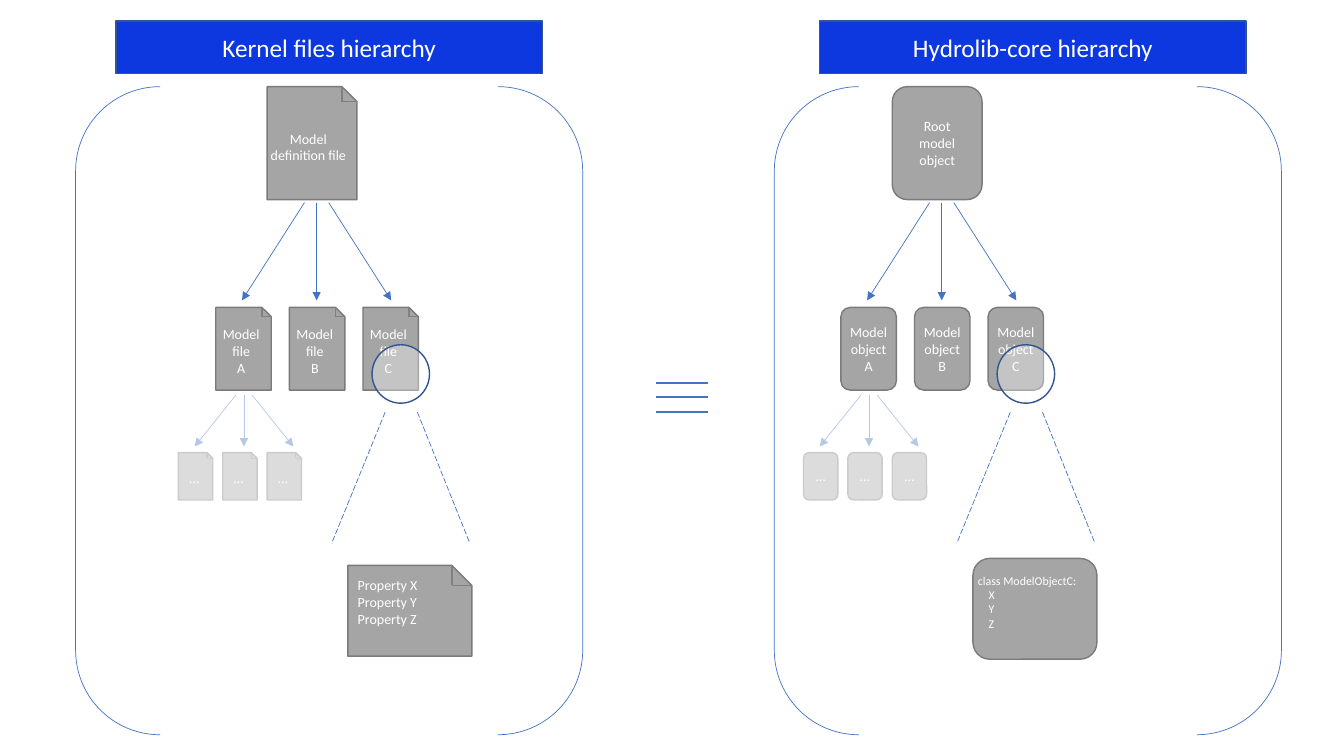
"""Build a slide that sets a kernel file tree beside its object tree."""
from lxml.etree import SubElement
from pptx import Presentation
from pptx.dml.color import RGBColor
from pptx.enum.dml import MSO_LINE
from pptx.enum.shapes import MSO_CONNECTOR, MSO_SHAPE
from pptx.enum.text import MSO_ANCHOR, MSO_AUTO_SIZE, PP_ALIGN
from pptx.oxml.ns import qn
from pptx.util import Inches, Pt

SIDES = [
    dict(
        title="Kernel files hierarchy", slot=1, head=1.15, frame=0.75, mid=3.14,
        form=MSO_SHAPE.SNIP_1_RECTANGLE, root=["Model definition file"], pad=0.01,
        kids=[["Model", "file", "A"], ["Model", "file", "B"], ["Model", "file", "C"]],
        detail=["Property X", "Property Y", "Property Z"],
        top=5.61, high=0.9, size=10, inset=(0.1, 0.01, 0.01, 0.01),
    ),
    dict(
        title="Hydrolib-core hierarchy", slot=3, head=8.13, frame=7.68, mid=9.34,
        form=MSO_SHAPE.ROUNDED_RECTANGLE, root=["Root model object"], pad=0.1,
        kids=[["Model", "object", "A"], ["Model", "object", "B"], ["Model object", "C"]],
        detail=["class ModelObjectC:", "    X", "    Y", "    Z"],
        top=5.54, high=1, size=8.5, inset=(0, 0.1, 0, 0),
    ),
]
WHITE = RGBColor(0xFF, 0xFF, 0xFF)
BLUE = RGBColor(0x0D, 0x38, 0xE0)
NAVY = RGBColor(0x32, 0x54, 0x91)
LINK = RGBColor(0x44, 0x72, 0xC4)
GREY = RGBColor(0xA5, 0xA5, 0xA5)
EDGE = RGBColor(0x7A, 0x7A, 0x7A)
FOLD = RGBColor(0x80, 0x80, 0x80)
SNIP = 0.167
WIDE_SNIP = 0.22

deck = Presentation()
deck.slide_width, deck.slide_height = Inches(13.33), Inches(7.5)
slide = deck.slides.add_slide(deck.slide_layouts.get_by_name("Comparison"))


def line(x1, y1, x2, y2, color=LINK, width=0.5, dash=None, arrow=False):
    """Draw a straight line, with an arrowhead if asked."""
    link = slide.shapes.add_connector(
        MSO_CONNECTOR.STRAIGHT, Inches(x1), Inches(y1), Inches(x2), Inches(y2))
    link.line.color.rgb, link.line.width = color, Pt(width)
    if dash:
        link.line.dash_style = dash
    if arrow:
        SubElement(link.line._get_or_add_ln(), qn("a:tailEnd"), type="triangle")
    SubElement(link._element.spPr, qn("a:effectLst"))


def shape(form, box, fill=None, edge=None, width=1, alpha=None):
    """Draw a preset shape with its fill and outline."""
    item = slide.shapes.add_shape(form, *map(Inches, box))
    item.shadow.inherit = False
    paint(item, fill, edge, width)
    if alpha:
        color = item.fill._xPr.find(qn("a:solidFill"))[0]
        SubElement(color, qn("a:alpha"), val=str(alpha * 1000))
    return item


def paint(item, fill, edge, width=1):
    """Set a fill and an outline, or clear them."""
    if fill is None:
        item.fill.background()
    else:
        item.fill.solid()
        item.fill.fore_color.rgb = fill
    if edge is None:
        item.line.fill.background()
    else:
        item.line.color.rgb, item.line.width = edge, Pt(width)


def write(item, rows, size=10, inset=(0.01,) * 4, align=PP_ALIGN.CENTER,
          anchor=MSO_ANCHOR.MIDDLE):
    """Fill a shape with one paragraph per row."""
    frame = item.text_frame
    frame.word_wrap, frame.auto_size = True, MSO_AUTO_SIZE.NONE
    frame.vertical_anchor = anchor
    (frame.margin_left, frame.margin_top,
     frame.margin_right, frame.margin_bottom) = map(Inches, inset)
    for i, row in enumerate(rows):
        para = frame.add_paragraph() if i else frame.paragraphs[0]
        para.alignment, para.space_before = align, Pt(0)
        run = para.add_run()
        run.text = row
        run.font.name, run.font.size, run.font.bold = "Calibri", Pt(size), False
        run.font.color.rgb = WHITE


def node(form, box, rows, snip=SNIP, **style):
    """Draw a tree node, with a folded corner on a file."""
    item = shape(form, box, GREY, EDGE)
    write(item, rows, **style)
    if form == MSO_SHAPE.SNIP_1_RECTANGLE:
        item.adjustments[0] = snip
        x, y, w, h = box
        fold = snip * min(w, h)
        line(x + w - fold, y, x + w - fold, y + fold, FOLD, 1)
        line(x + w, y + fold, x + w - fold, y + fold, FOLD, 1)


def fan(mid, top, base, near, far):
    """Draw three arrows that spread from a parent."""
    for i in (-1, 0, 1):
        line(mid + i * near, top, mid + i * far, base, arrow=True)


def tree(side):
    """Draw one half of the slide."""
    mid, form = side["mid"], side["form"]
    head = slide.placeholders[side["slot"]]
    head.left, head.top, head.width, head.height = map(
        Inches, (side["head"], 0.21, 4.23, 0.52))
    paint(head, BLUE, NAVY)
    write(head, [side["title"]], 18, (0.1, 0.05, 0.1, 0.05))

    shape(MSO_SHAPE.DOUBLE_BRACKET, (side["frame"], 0.86, 5.03, 6.43), None, LINK, 0.5)
    node(form, (mid - 0.49, 0.86, 0.89, 1.12), side["root"], inset=(side["pad"],) * 4)
    fan(mid, 2.01, 2.98, 0.12, 0.74)
    for i, rows in enumerate(side["kids"]):
        node(form, (mid - 1 + i * 0.73, 3.05, 0.55, 0.82), rows)
    for near, far in ((0.68, 0.15), (1, 1.52)):
        line(mid + near, 4.09, mid + far, 5.39, dash=MSO_LINE.LONG_DASH)
    node(form, (mid + 0.31, side["top"], 1.23, side["high"]), side["detail"], WIDE_SNIP,
         size=side["size"], inset=side["inset"], align=PP_ALIGN.LEFT,
         anchor=MSO_ANCHOR.TOP)

    fan(mid - 0.72, 3.92, 4.43, 0.08, 0.49)
    for i in range(3):
        node(form, (mid - 1.37 + i * 0.44, 4.49, 0.34, 0.47), ["…"])
    shape(MSO_SHAPE.RECTANGLE, (mid - 1.41, 3.92, 1.34, 1.12), WHITE, alpha=61)
    shape(MSO_SHAPE.OVAL, (mid + 0.55, 3.42, 0.57, 0.58), WHITE, NAVY, alpha=35)


for slot in (0, 2, 4):
    spare = slide.placeholders[slot]._element
    spare.getparent().remove(spare)
for y in (3.8, 3.94, 4.09):
    line(6.51, y, 7.02, y, width=1.5)
for side in SIDES:
    tree(side)
deck.save("out.pptx")
